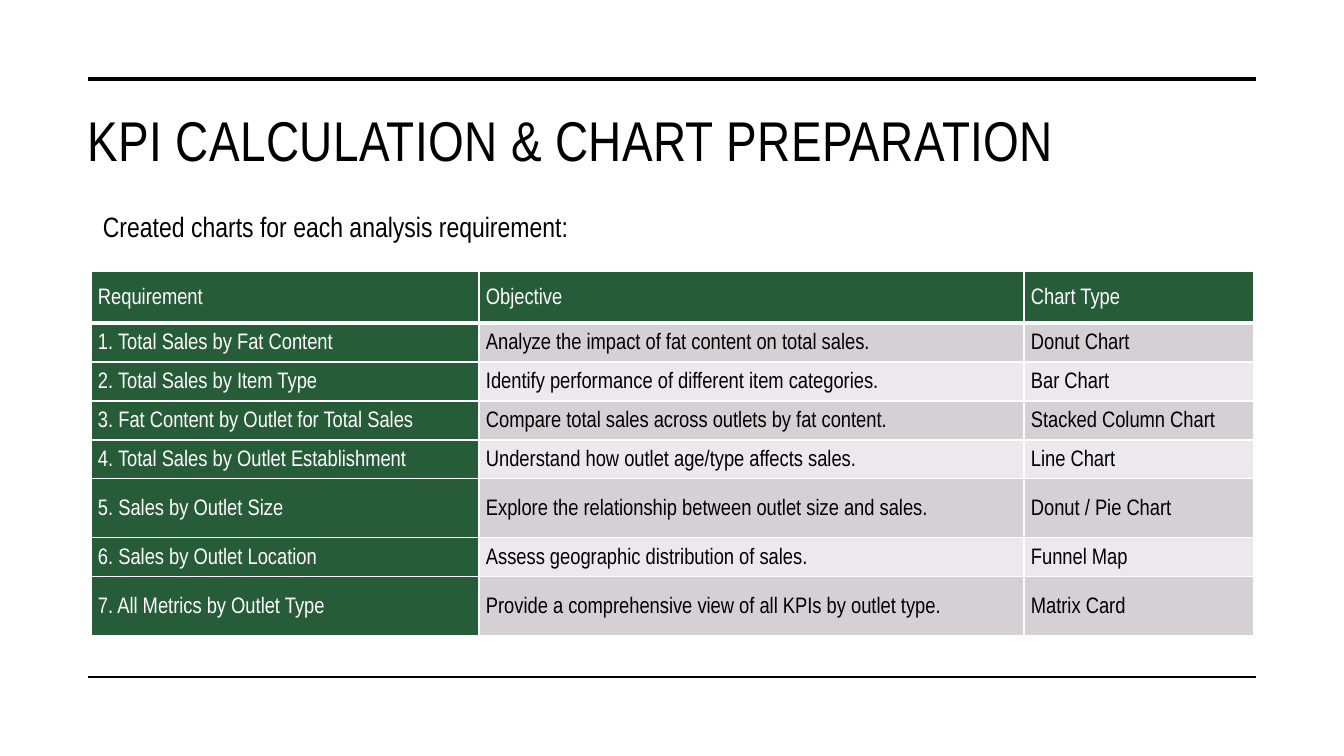
from lxml import etree
from pptx import Presentation, util as u
from pptx.dml.color import RGBColor
from pptx.enum import shapes, text
from pptx.oxml import ns

PX_PER_INCH = 100.8
FONT = "Arial Narrow"
BLACK, WHITE, GREEN = "000000", "FFFFFF", "265C37"
BANDS = ("D5D0D3", "EBE9EB")
COLUMN_WIDTHS = (388, 545, 230)
ROW_HEIGHTS = (52, 39, 39, 39, 39, 59, 39, 59)
REQUIREMENTS = (
    ("Requirement", "Objective", "Chart Type"),
    ("1. Total Sales by Fat Content",
     "Analyze the impact of fat content on total sales.", "Donut Chart"),
    ("2. Total Sales by Item Type",
     "Identify performance of different item categories.", "Bar Chart"),
    ("3. Fat Content by Outlet for Total Sales",
     "Compare total sales across outlets by fat content.", "Stacked Column Chart"),
    ("4. Total Sales by Outlet Establishment",
     "Understand how outlet age/type affects sales.", "Line Chart"),
    ("5. Sales by Outlet Size",
     "Explore the relationship between outlet size and sales.", "Donut / Pie Chart"),
    ("6. Sales by Outlet Location",
     "Assess geographic distribution of sales.", "Funnel Map"),
    ("7. All Metrics by Outlet Type",
     "Provide a comprehensive view of all KPIs by outlet type.", "Matrix Card"),
)


def px(length):
    return u.Inches(length / PX_PER_INCH)


def paint(target, color):
    """Give a fill a solid colour."""
    target.solid()
    target.fore_color.rgb = RGBColor.from_string(color)


def write(frame, words, size, color, line_spacing=1.0, space_after=0):
    frame.text = words
    para = frame.paragraphs[0]
    para.line_spacing = line_spacing
    para.space_after = u.Pt(space_after)
    span = para.runs[0]
    span.font.name = FONT
    span.font.size = u.Pt(size)
    paint(span.font.fill, color)
    return span


def add_rule(page, y, weight):
    rule = page.shapes.add_connector(
        shapes.MSO_CONNECTOR.STRAIGHT, px(88), px(y), px(1256), px(y))
    paint(rule.line.fill, BLACK)
    rule.line.width = u.Pt(weight)
    etree.SubElement(rule._element.spPr, ns.qn("a:effectLst"))


def add_text(page, left, top, width, height, words, size, **spacing):
    box = page.shapes.add_textbox(px(left), px(top), px(width), px(height))
    box.text_frame.word_wrap = True
    return write(box.text_frame, words, size, BLACK, **spacing)


def set_borders(cell, top, bottom):
    """Draw white cell borders; top and bottom are in points."""
    properties = cell._tc.get_or_add_tcPr()
    sides = (("lnL", 1), ("lnR", 1), ("lnT", top), ("lnB", bottom))
    for position, (side, weight) in enumerate(sides):
        line = etree.Element(ns.qn(f"a:{side}"), w=str(u.Pt(weight)))
        fill = etree.SubElement(line, ns.qn("a:solidFill"))
        etree.SubElement(fill, ns.qn("a:srgbClr"), val=WHITE)
        properties.insert(position, line)


def fill_cell(cell, words, row, column):
    is_heading = row == 0 or column == 0
    cell.margin_left = cell.margin_right = px(7)
    cell.margin_top = cell.margin_bottom = 0
    cell.vertical_anchor = text.MSO_ANCHOR.MIDDLE
    write(cell.text_frame, words, 16, WHITE if is_heading else BLACK,
          line_spacing=1.15, space_after=10)
    paint(cell.fill, GREEN if is_heading else BANDS[(row - 1) % 2])
    set_borders(cell, top=3 if row == 1 else 1, bottom=3 if row == 0 else 1)


def add_requirements_table(page, left, top):
    table = page.shapes.add_table(
        len(ROW_HEIGHTS), len(COLUMN_WIDTHS), px(left), px(top),
        px(sum(COLUMN_WIDTHS)), px(sum(ROW_HEIGHTS))).table
    for column, width in zip(table.columns, COLUMN_WIDTHS):
        column.width = px(width)
    for row, height in zip(table.rows, ROW_HEIGHTS):
        row.height = px(height)
    for row, entries in enumerate(REQUIREMENTS):
        for column, words in enumerate(entries):
            fill_cell(table.cell(row, column), words, row, column)


def main():
    deck = Presentation()
    deck.slide_width, deck.slide_height = px(1344), px(756)
    page = deck.slides.add_slide(deck.slide_layouts[6])
    add_rule(page, 79, 3.5)
    add_rule(page, 677, 1)
    title = add_text(page, 78, 101, 1178, 144,
                     "KPI CALCULATION & CHART PREPARATION", 40)
    title.font._element.set("spc", "30")
    add_text(page, 93, 194, 1167, 166, "Created charts for each analysis requirement:",
             20, line_spacing=1.3, space_after=10)
    add_requirements_table(page, 91, 271)
    deck.save("out.pptx")


if __name__ == "__main__":
    main()
